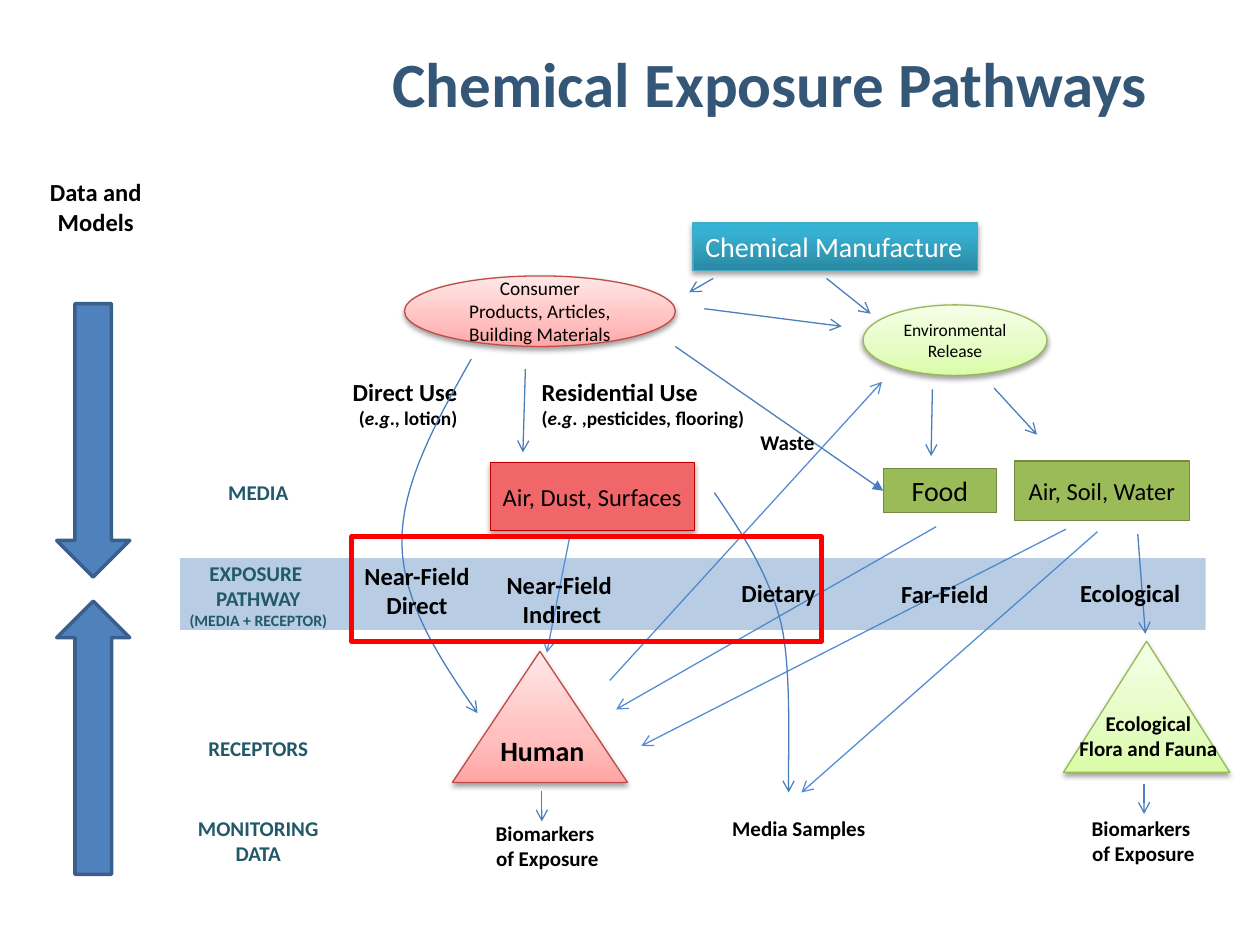
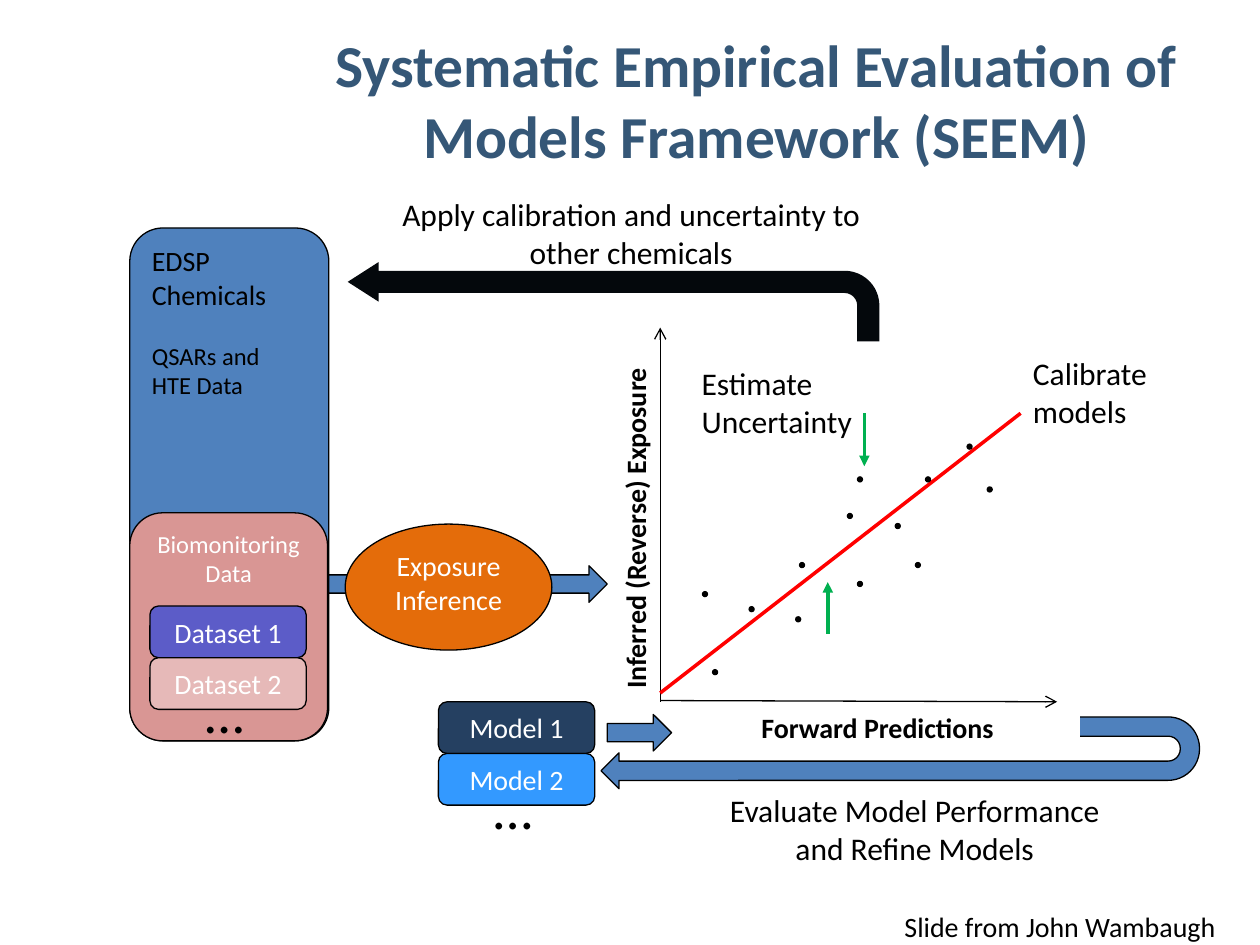
from dataclasses import dataclass
from typing import Any

from lxml import etree
from pptx import Presentation
from pptx.dml.color import RGBColor
from pptx.enum.shapes import MSO_CONNECTOR, MSO_SHAPE as SHAPE
from pptx.enum.text import MSO_ANCHOR as ANCHOR, PP_ALIGN as ALIGN
from pptx.oxml import parse_xml
from pptx.oxml.ns import qn
from pptx.util import Inches, Pt

FONT = "Calibri"
BLACK, WHITE, RED = "000000", "FFFFFF", "FF0000"
TITLE, LABEL = "355777", "215968"
BLUE, FLOW, LONG_FLOW = "4F81BD", "4B7EBC", "558ED5"
LEAF, UNCERTAINTY = "9BBB59", "00B050"
PINK_FADE = [(0, "FFA6A5"), (35, "FFC0BF"), (100, "FFE7E7")]
GREEN_FADE = [(0, "DAFDA7"), (35, "E4FCC2"), (100, "F5FFE7")]
TEAL_FADE = [(0, "2A88A2"), (80, "37B1D2"), (100, "34B4D6")]
NS = 'xmlns:a="http://schemas.openxmlformats.org/drawingml/2006/main"'


def rgb(color):
    return RGBColor.from_string(color)


def fill_gradient(shape, stops):
    """Fade from bottom to top through (percent, colour) stops."""
    shape.fill.background()
    marks = "".join(f'<a:gs pos="{pos * 1000}"><a:srgbClr val="{color}"/></a:gs>'
                    for pos, color in stops)
    fade = parse_xml(f'<a:gradFill {NS} rotWithShape="1"><a:gsLst>{marks}</a:gsLst>'
                     '<a:lin ang="16200000" scaled="0"/></a:gradFill>')
    props = shape.element.spPr
    props.replace(props.find(qn("a:noFill")), fade)


def add_shadow(shape):
    props = shape.element.spPr
    props.remove(props.find(qn("a:effectLst")))
    props.append(parse_xml(
        f'<a:effectLst {NS}><a:outerShdw blurRad="{Pt(3.1)}" dist="{Pt(1.7)}" dir="5400000" '
        'rotWithShape="0"><a:srgbClr val="000000"><a:alpha val="37000"/></a:srgbClr>'
        '</a:outerShdw></a:effectLst>'))


def set_line(item, color, width, head=None):
    item.line.color.rgb = rgb(color)
    item.line.width = Pt(width)
    if head:
        etree.SubElement(item.line._get_or_add_ln(), qn("a:tailEnd"), type=head)


def write(shape, paragraphs, size, color=BLACK, bold=False, align=ALIGN.CENTER,
          anchor=ANCHOR.TOP, wrap=True):
    """Paragraphs are text or (text, size); *stars* enclose italics."""
    frame = shape.text_frame
    frame.word_wrap, frame.vertical_anchor = wrap, anchor
    for number, entry in enumerate(paragraphs):
        text, own_size = entry if isinstance(entry, tuple) else (entry, size)
        paragraph = frame.add_paragraph() if number else frame.paragraphs[0]
        paragraph.alignment = align
        for part, words in enumerate(text.split("*")):
            run = paragraph.add_run()
            run.text = words
            font = run.font
            font.name, font.size, font.bold = FONT, Pt(own_size), bold
            font.italic = part % 2 == 1
            font.color.rgb = rgb(color)


@dataclass
class Region:
    """A box on a slide; everything drawn in it is measured from its corner."""
    slide: Any
    left: float
    top: float

    def at(self, x, y):
        return Inches(self.left + x), Inches(self.top + y)

    def shape(self, kind, x, y, w, h, fill=None, line=None, width=0.75,
              shadow=False, adjust=()):
        shape = self.slide.shapes.add_shape(kind, *self.at(x, y), Inches(w), Inches(h))
        shape.shadow.inherit = False
        for index, value in enumerate(adjust):
            shape.adjustments[index] = value
        if isinstance(fill, list):
            fill_gradient(shape, fill)
        elif fill:
            shape.fill.solid()
            shape.fill.fore_color.rgb = rgb(fill)
        else:
            shape.fill.background()
        if line:
            set_line(shape, line, width)
        else:
            shape.line.fill.background()
        if shadow:
            add_shadow(shape)
        return shape

    def text(self, x, y, w, h, paragraphs, size, **style):
        box = self.slide.shapes.add_textbox(*self.at(x, y), Inches(w), Inches(h))
        write(box, paragraphs, size, **style)
        return box

    def line(self, x1, y1, x2, y2, color=FLOW, width=0.75, head="arrow"):
        link = self.slide.shapes.add_connector(
            MSO_CONNECTOR.STRAIGHT, *self.at(x1, y1), *self.at(x2, y2))
        set_line(link, color, width, head)
        etree.SubElement(link.element.spPr, qn("a:effectLst"))
        return link

    def curve(self, start, *segments, steps=16):
        """Open outline through cubic segments (control, control, end)."""
        points, origin = [], start
        for segment in segments:
            for step in range(1, steps + 1):
                t = step / steps
                weights = ((1 - t) ** 3, 3 * t * (1 - t) ** 2, 3 * t * t * (1 - t), t ** 3)
                corners = (origin, *segment)
                points.append(self.at(*(sum(k * c[axis] for k, c in zip(weights, corners))
                                        for axis in (0, 1))))
            origin = segment[-1]
        builder = self.slide.shapes.build_freeform(*self.at(*start))
        builder.add_line_segments(points, close=False)
        path_shape = builder.convert_to_shape()
        path_shape.shadow.inherit = False
        path_shape.fill.background()
        set_line(path_shape, FLOW, 0.75, "arrow")


def add_title(slide, x, y, w, text, size):
    Region(slide, x, y).text(0, 0, w, 1.25, [text], size, color=TITLE, bold=True)


# ---- Slide 1: exposure pathways ----

def draw_data_and_models(region):
    region.text(0, 0, 1.08, 0.57, ["Data and Models"], 14, bold=True)
    for y, turn in ((1.05, 0), (3.41, 180)):
        arrow = region.shape(SHAPE.DOWN_ARROW, 0.23, y, 0.58, 2.17, BLUE, "3A5F8C", 2)
        arrow.rotation = turn


def draw_exposure_band(region):
    # Long flows run behind the translucent band
    region.line(8.03, 3.24, 8.09, 4.03)
    for ends in ((7.71, 3.22, 5.36, 5.29), (6.43, 3.18, 3.89, 4.63),
                 (7.46, 3.2, 4.09, 4.92), (3.84, 4.4, 6, 2.03)):
        region.line(*ends, color=LONG_FLOW)
    band = region.shape(SHAPE.RECTANGLE, 0.43, 3.43, 8.14, 0.57, BLUE)
    tint = band.element.spPr.find(qn("a:solidFill"))[0]
    etree.SubElement(tint, qn("a:alpha"), val="40000")
    # Row labels
    for x, y, w, h, words in (
            (0.47, 5.42, 1.16, 0.5, ["MONITORING", "DATA"]),
            (0.55, 4.79, 1, 0.3, ["RECEPTORS"]),
            (0.71, 2.76, 0.68, 0.3, ["MEDIA"]),
            (0.4, 3.4, 1.3, 0.65, ["EXPOSURE ", "PATHWAY", ("(MEDIA + RECEPTOR)", 9)])):
        region.text(x, y, w, h, words, 12, color=LABEL, bold=True, wrap=False)


def draw_sources_and_media(region):
    centred = dict(anchor=ANCHOR.MIDDLE)
    manufacture = region.shape(SHAPE.RECTANGLE, 4.5, 0.77, 2.26, 0.38, TEAL_FADE,
                               "46AAC5", shadow=True)
    write(manufacture, ["Chemical Manufacture"], 16, color=WHITE,
          align=ALIGN.LEFT, wrap=False)
    release = region.shape(SHAPE.OVAL, 5.85, 1.42, 1.46, 0.56, GREEN_FADE,
                           "98B955", shadow=True)
    write(release, ["Environmental Release"], 10, **centred)
    consumer = region.shape(SHAPE.OVAL, 2.21, 1.19, 2.15, 0.56, PINK_FADE,
                            "BF4C48", shadow=True)
    write(consumer, ["Consumer", "Products, Articles, Building Materials"], 11, **centred)
    food = region.shape(SHAPE.RECTANGLE, 6.01, 2.72, 0.9, 0.35, LEAF, "738A42")
    write(food, ["Food"], 16, **centred)
    outdoors = region.shape(SHAPE.RECTANGLE, 7.05, 2.66, 1.39, 0.47, LEAF, "738A42")
    write(outdoors, ["Air, Soil, Water"], 14, **centred)
    indoors = region.shape(SHAPE.RECTANGLE, 2.89, 2.67, 1.62, 0.54, "F06669",
                           "C00000", shadow=True)
    write(indoors, ["Air, Dust, Surfaces"], 14, **centred)
    # Flows between sources and media
    for ends in ((5.56, 1.21, 5.91, 1.49), (6.4, 2.09, 6.39, 2.62), (6.89, 2.08, 7.23, 2.45),
                 (4.66, 1.21, 4.47, 1.32), (4.59, 1.45, 5.68, 1.59), (3.17, 1.93, 3.15, 2.59)):
        region.line(*ends)
    region.line(4.36, 1.75, 6.01, 2.89, head="triangle").end_connect(food, 1)
    # Uses
    region.text(1.7, 1.94, 1.03, 0.52, ["Direct Use", ("(*e.g*., lotion)", 11)], 14,
                bold=True, align=ALIGN.RIGHT, wrap=False)
    region.text(3.2, 1.94, 1.81, 0.52,
                ["Residential Use", ("(*e.g*. ,pesticides, flooring)", 11)], 14,
                bold=True, align=ALIGN.LEFT, wrap=False)
    region.text(4.93, 2.36, 0.64, 0.3, ["Waste"], 12, bold=True, wrap=False)


def draw_receptors(region):
    for x, y, w, fade, edge in ((7.44, 4.09, 1.32, GREEN_FADE, "98B955"),
                                (2.59, 4.17, 1.39, PINK_FADE, "BF4C48")):
        region.shape(SHAPE.ISOSCELES_TRIANGLE, x, y, w, 1.04, fade, edge, shadow=True)
    region.line(3.52, 3.27, 3.34, 4.18, color=LONG_FLOW)
    region.curve((4.67, 2.91), ((4.89, 3.23), (5.1, 3.55), (5.2, 3.95)),
                 ((5.29, 4.34), (5.25, 5.06), (5.26, 5.29)))
    region.curve((2.74, 1.85), ((2.46, 2.35), (2.18, 2.85), (2.19, 3.32)),
                 ((2.2, 3.79), (2.49, 4.23), (2.79, 4.66)))
    # Pathway names
    for x, y, w, h, words in ((4.78, 3.54, 0.8, 0.33, ["Dietary"]),
                              (6.05, 3.54, 0.9, 0.34, ["Far-Field"]),
                              (7.47, 3.54, 1, 0.33, ["Ecological"]),
                              (1.79, 3.4, 1.04, 0.57, ["Near-Field", "Direct"]),
                              (2.92, 3.47, 1.08, 0.57, ["Near-Field ", "Indirect"])):
        region.text(x, y, w, h, words, 14, bold=True, wrap=False, anchor=ANCHOR.MIDDLE)
    region.text(2.87, 4.77, 0.87, 0.37, ["Human"], 16, bold=True, wrap=False)
    region.text(7.46, 4.59, 1.31, 0.5, ["Ecological", "Flora and Fauna"], 12,
                bold=True, wrap=False)
    # Monitoring data
    for x, y in ((7.56, 5.42), (2.83, 5.46)):
        region.text(x, y, 1.03, 0.5, ["Biomarkers ", "of Exposure"], 12,
                    bold=True, wrap=False)
    region.text(4.71, 5.42, 1.26, 0.3, ["Media Samples"], 12, bold=True, wrap=False)
    for x, y in ((8.08, 5.22), (3.3, 5.28)):
        region.line(x, y, x, y + 0.24)
    # Highlighted pathways
    region.shape(SHAPE.RECTANGLE, 1.79, 3.26, 3.73, 0.83, line=RED, width=3)


def build_pathways_slide(slide):
    draw_data_and_models(Region(slide, 0.22, 1.36))
    diagram = Region(slide, 1, 1)
    draw_exposure_band(diagram)
    draw_sources_and_media(diagram)
    draw_receptors(diagram)
    add_title(slide, 2.72, 0.3, 6.78, "Chemical Exposure Pathways", 36)


# ---- Slide 2: SEEM framework ----

def draw_stack(region, items):
    """Rounded tiles stacked without a gap, followed by an ellipsis."""
    for row, (name, fill) in enumerate(items):
        tile = region.shape(SHAPE.ROUNDED_RECTANGLE, 0, row * 0.41, 1.24, 0.41, fill, BLACK)
        write(tile, [name], 16, color=WHITE, anchor=ANCHOR.MIDDLE)
    region.text(0.34, 0.52, 0.51, 0.63, ["…"], 32, align=ALIGN.LEFT, wrap=False)


def draw_feedback(region):
    loop = region.shape(SHAPE.U_TURN_ARROW, 2.17, -2.07, 0.57, 4.75, BLUE, BLACK,
                        adjust=(0.268, 0.25, 0.25, 0.438, 1))
    loop.rotation = 90
    region.shape(SHAPE.RECTANGLE, 0, 0, 3.88, 0.21, WHITE)
    region.text(0.88, 0.56, 3.38, 0.7,
                ["Evaluate Model Performance", "and Refine Models"], 18)


def draw_chemicals(region):
    chemicals = region.shape(SHAPE.ROUNDED_RECTANGLE, 0, 0, 1.58, 4.07, BLUE, BLACK)
    write(chemicals, ["EDSP Chemicals", ("QSARs and", 14), ("HTE Data", 14)], 16,
          align=ALIGN.LEFT)
    chemicals.text_frame.paragraphs[1].space_before = Pt(17)
    biomonitoring = region.shape(SHAPE.ROUNDED_RECTANGLE, 0, 2.26, 1.57, 1.81,
                                 "D99694", BLACK)
    write(biomonitoring, ["Biomonitoring", "Data"], 14, color=WHITE)
    region.shape(SHAPE.RIGHT_ARROW, 1.58, 2.68, 2.21, 0.29, BLUE, BLACK)
    inference = region.shape(SHAPE.OVAL, 1.71, 2.35, 1.64, 1, "E46C0A", BLACK)
    write(inference, ["Exposure Inference"], 16, color=WHITE)


def draw_calibration_plot(region):
    # Axes and their names
    region.line(0.24, 3.57, 0.24, 0.6, color=BLACK)
    region.line(0.24, 3.56, 3.39, 3.57, color=BLACK)
    vertical = region.text(-1.4, 1.98, 2.88, 0.43, ["Inferred (Reverse) Exposure"], 16,
                           bold=True, anchor=ANCHOR.MIDDLE)
    vertical.rotation = 270
    region.text(0.33, 3.56, 3.27, 0.43, ["Forward Predictions"], 16,
                bold=True, anchor=ANCHOR.MIDDLE)
    # Fit and observations
    region.line(0.24, 3.5, 3.1, 1.28, color=RED, width=2, head=None)
    for x, y in ((2.34, 1.78), (2.1, 2.15), (2.26, 2.46), (1.8, 1.78), (1.72, 2.07),
                 (1.34, 2.46), (1.8, 2.61), (1.31, 2.89), (0.94, 2.81), (0.65, 3.31),
                 (2.83, 1.86), (2.67, 1.52), (0.57, 2.69)):
        region.shape(SHAPE.OVAL, x, y, 0.05, 0.05, BLACK)
    region.line(1.86, 1.28, 1.86, 1.7, color=UNCERTAINTY, width=2, head="triangle")
    region.line(1.57, 3.03, 1.57, 2.62, color=UNCERTAINTY, width=2, head="triangle")
    for x, y, w, words in ((0.47, 0.84, 1.94, "Estimate Uncertainty"),
                           (3.1, 0.76, 1.37, "Calibrate models")):
        region.text(x, y, w, 0.7, [words], 18, align=ALIGN.LEFT)


def draw_calibration_return(region):
    arrow = region.shape(SHAPE.BENT_ARROW, 0, 0.58, 4.22, 0.63, "04080C",
                         adjust=(0.28, 0.25, 0.39, 0.44))
    arrow.element.spPr.find(qn("a:xfrm")).set("flipH", "1")
    region.text(0.32, 0, 3.86, 0.7,
                ["Apply calibration and uncertainty to other chemicals"], 18)


def build_framework_slide(slide):
    draw_feedback(Region(slide, 4.69, 5.67))
    draw_chemicals(Region(slide, 1.03, 1.81))
    draw_stack(Region(slide, 1.19, 4.81), [("Dataset 1", "5C5CC8"), ("Dataset 2", "E6B9B8")])
    draw_calibration_plot(Region(slide, 5, 2))
    models = Region(slide, 3.48, 5.57)
    draw_stack(models, [("Model 1", "254061"), ("Model 2", "3399FF")])
    models.shape(SHAPE.RIGHT_ARROW, 1.34, 0.1, 0.51, 0.29, BLUE, BLACK)
    draw_calibration_return(Region(slide, 2.76, 1.5))
    add_title(slide, 2.19, 0.17, 7.62,
              "Systematic Empirical Evaluation of Models Framework (SEEM)", 34)
    Region(slide, 7.08, 7.17).text(0, 0, 2.92, 0.37, ["Slide from John Wambaugh"], 16,
                                   align=ALIGN.LEFT)


def main():
    deck = Presentation()
    deck.slide_width, deck.slide_height = Inches(10), Inches(7.5)
    for build in (build_pathways_slide, build_framework_slide):
        build(deck.slides.add_slide(deck.slide_layouts[6]))
    deck.save("out.pptx")


if __name__ == "__main__":
    main()
